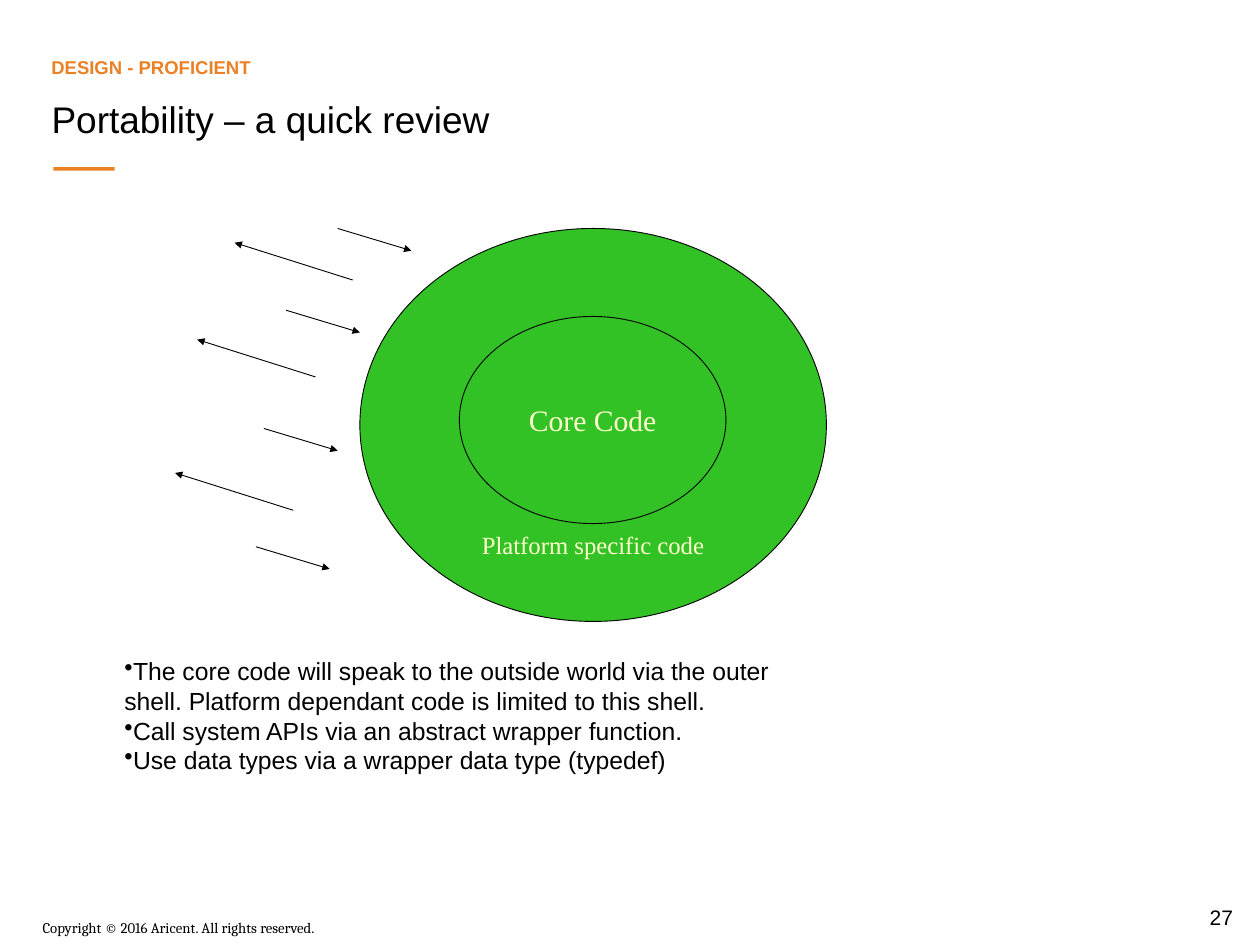
from lxml.etree import SubElement
from pptx import Presentation
from pptx.dml.color import RGBColor
from pptx.enum.shapes import MSO_CONNECTOR, MSO_SHAPE
from pptx.enum.text import MSO_ANCHOR, MSO_AUTO_SIZE, PP_ALIGN
from pptx.oxml.ns import qn
from pptx.util import Inches, Pt

ORANGE = RGBColor(0xEB, 0x80, 0x24)
GREEN = RGBColor(0x32, 0xC2, 0x25)
CREAM = RGBColor(0xFF, 0xFF, 0xCC)
BLACK = RGBColor(0, 0, 0)

COLUMNS, ROWS = 141.8, 106.3
INWARD = (8.3, 2.5)
OUTWARD = (-13.3, -4.2)
INWARD_STARTS = [(38, 25.7), (32.2, 34.9), (29.7, 48.2), (28.8, 61.5)]
OUTWARD_STARTS = [(39.7, 31.5), (35.5, 42.4), (33, 57.4)]
POINTS = [
    "The core code will speak to the outside world via the outer shell. "
    "Platform dependant code is limited to this shell.",
    "Call system APIs via an abstract wrapper function.",
    "Use data types via a wrapper data type (typedef)",
]


class Page:
    """Draws styled elements on one slide, placed on a grid of tenths of an inch."""

    def __init__(self, deck):
        self.slide = deck.slides.add_slide(deck.slide_layouts[5])
        self.shapes = self.slide.shapes

    def grid(self, *cells):
        return [Inches(cell / 10) for cell in cells]

    def fill_text(self, frame, lines, size, color=BLACK, font="Arial", bold=False,
                  align=PP_ALIGN.LEFT, anchor=MSO_ANCHOR.TOP, bullet=None, wrap=True):
        frame.word_wrap = wrap
        frame.auto_size = MSO_AUTO_SIZE.NONE
        frame.vertical_anchor = anchor
        for index, line in enumerate(lines):
            para = frame.add_paragraph() if index else frame.paragraphs[0]
            para.text = line
            para.alignment = align
            if bullet:
                properties = para._p.get_or_add_pPr()
                SubElement(properties, qn("a:buChar")).set("char", bullet)
            para.font.size = Pt(size)
            para.font.name = font
            para.font.bold = bold
            para.font.color.rgb = color

    def title(self, place, text, size):
        box = self.shapes.title
        box.left, box.top, box.width, box.height = self.grid(*place)
        self.fill_text(box.text_frame, [text], size)

    def text(self, place, lines, size, **style):
        box = self.shapes.add_textbox(*self.grid(*place))
        self.fill_text(box.text_frame, lines, size, **style)

    def shape(self, kind, place, fill, line=None):
        shape = self.shapes.add_shape(kind, *self.grid(*place))
        shape.shadow.inherit = False
        shape.fill.solid()
        shape.fill.fore_color.rgb = fill
        if line is None:
            shape.line.fill.background()
        else:
            shape.line.color.rgb = line
            shape.line.width = Pt(0.75)
        return shape

    def ellipse(self, place, label, size, anchor):
        shape = self.shape(MSO_SHAPE.OVAL, place, GREEN, BLACK)
        self.fill_text(shape.text_frame, [label], size, color=CREAM, font="Times New Roman",
                       align=PP_ALIGN.CENTER, anchor=anchor, wrap=False)

    def arrow(self, start, step):
        left, top = start
        across, down = step
        arrow = self.shapes.add_connector(
            MSO_CONNECTOR.STRAIGHT, *self.grid(left, top, left + across, top + down))
        arrow.line.color.rgb = BLACK
        arrow.line.width = Pt(0.75)
        SubElement(arrow.line._get_or_add_ln(), qn("a:tailEnd")).set("type", "triangle")
        SubElement(arrow._element.spPr, qn("a:effectLst"))


def main():
    deck = Presentation()
    deck.slide_width = Inches(COLUMNS / 10)
    deck.slide_height = Inches(ROWS / 10)
    page = Page(deck)

    page.text((4.8, 3.1, 111.3, 6.2), ["DESIGN - PROFICIENT"], 15, color=ORANGE,
              bold=True, anchor=MSO_ANCHOR.BOTTOM)
    page.title((4.8, 10.4, 111.3, 8.5), "Portability – a quick review", 30)
    page.shape(MSO_SHAPE.RECTANGLE, (6, 18.8, 6.9, 0.4), ORANGE)

    page.ellipse((40.5, 25.7, 52.5, 44.2), "Platform specific code", 20, MSO_ANCHOR.BOTTOM)
    page.ellipse((51.7, 35.6, 30, 23.3), "Core Code", 24, MSO_ANCHOR.MIDDLE)
    for start in INWARD_STARTS:
        page.arrow(start, INWARD)
    for start in OUTWARD_STARTS:
        page.arrow(start, OUTWARD)

    page.text((13, 73.3, 77.5, 14.5), POINTS, 20, bullet="•")
    page.text((3.8, 102.8, 70.9, 3), ["Copyright © 2016 Aricent. All rights reserved."], 12,
              font="Cambria")
    page.text((133.1, 101.2, 8.7, 3.9), ["27"], 17, align=PP_ALIGN.CENTER,
              anchor=MSO_ANCHOR.MIDDLE)

    deck.save("out.pptx")


if __name__ == "__main__":
    main()
